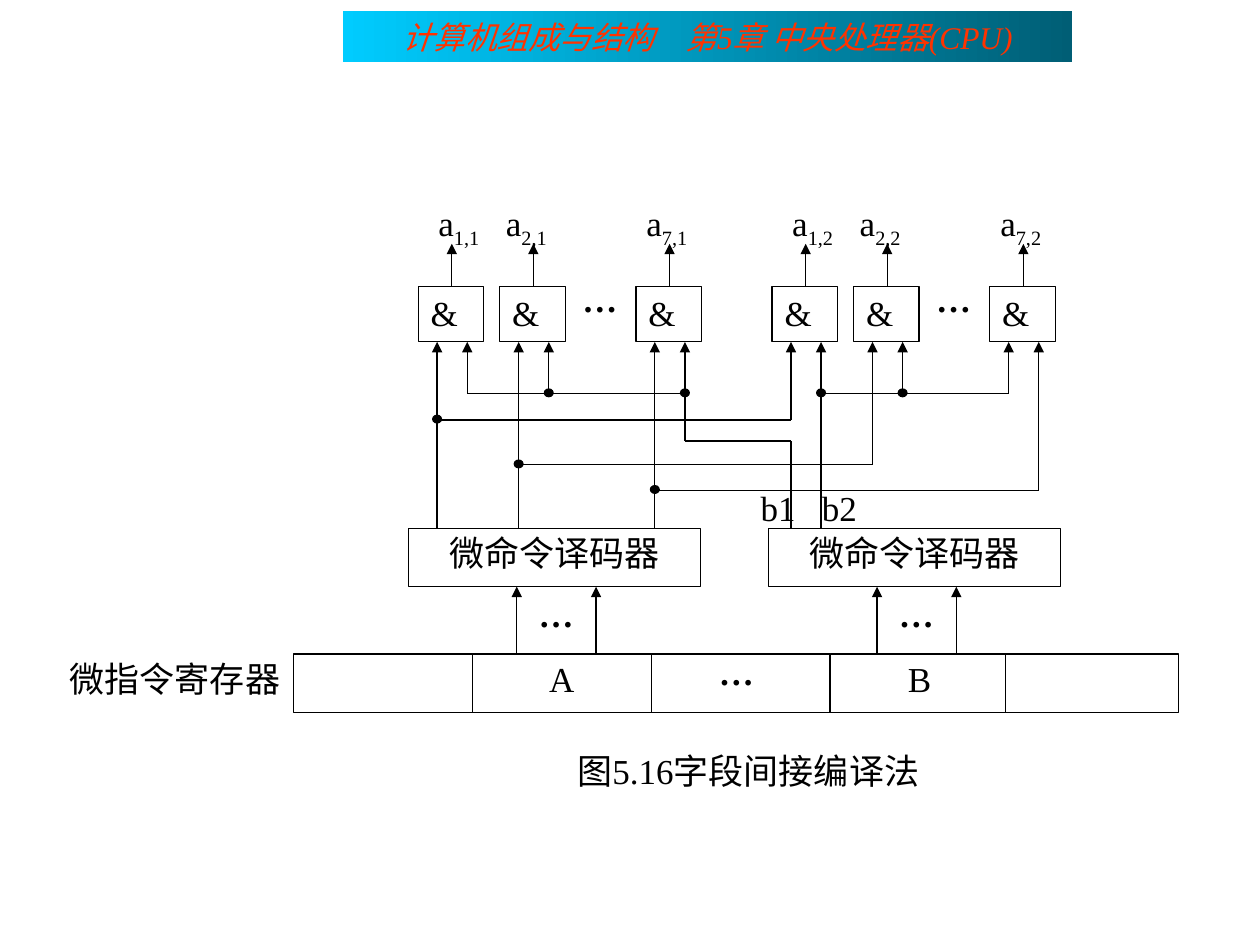
"""Build a slide showing indirect field encoding of microinstructions."""
from dataclasses import dataclass

import pptx
import pptx.dml.color
import pptx.enum.shapes
import pptx.enum.text
import pptx.oxml
import pptx.oxml.ns
import pptx.util

Pt = pptx.util.Pt
Color = pptx.dml.color.RGBColor.from_string
Align = pptx.enum.text.PP_ALIGN
Preset = pptx.enum.shapes.MSO_SHAPE


@dataclass(frozen=True)
class Theme:
    """Colours, font, type sizes and line width."""
    ink: str = "000000"
    paper: str = "FFFFFF"
    title: str = "FF3300"
    banner: tuple = ("005E75", "00CCFF")
    font: str = "Times New Roman"
    title_size: float = 18
    body_size: float = 20
    line: float = 0.75


THEME = Theme()
GATE_LEFTS = (0, 46.6, 124.4)
GATE_WIDTH = 37.4
GATE_INPUTS = (10.8, 28)


def style_run(run, size=THEME.body_size, color=THEME.ink, bold=False, italic=False):
    """Apply the theme font to a run."""
    run.font.name = THEME.font
    run.font.size = Pt(size)
    run.font.color.rgb = Color(color)
    run.font.bold = bold
    run.font.italic = italic


def set_text(shape, text, align=Align.CENTER, spacing=None, top=3.6, **style):
    """Write one styled paragraph into a shape."""
    frame = shape.text_frame
    frame.word_wrap = True
    frame.vertical_anchor = pptx.enum.text.MSO_ANCHOR.TOP
    frame.margin_left = frame.margin_right = Pt(7.2)
    frame.margin_top, frame.margin_bottom = Pt(top), Pt(3.6)
    frame.text = text
    paragraph = frame.paragraphs[0]
    paragraph.alignment = align
    paragraph.line_spacing = spacing
    style_run(paragraph.runs[0], **style)
    return paragraph


def add_label(slide, box, text, **style):
    """Add a text box and return its paragraph."""
    return set_text(slide.shapes.add_textbox(*map(Pt, box)), text, **style)


def add_dots(slide, left, top):
    """Add a bold ellipsis for omitted parts."""
    add_label(slide, (left, top, 51, 33), "…", bold=True)


def add_signal(slide, left, top, base, index):
    """Add a signal name with a subscript, centred on a point."""
    paragraph = add_label(slide, (left - 27, top, 54, 37), base)
    run = paragraph.add_run()
    run.text = index
    style_run(run)
    run.font._element.set("baseline", "-25000")


def add_block(slide, box, preset=Preset.RECTANGLE, fill=THEME.paper):
    """Add an outlined shape."""
    shape = slide.shapes.add_shape(preset, *map(Pt, box))
    shape.shadow.inherit = False
    shape.fill.solid()
    shape.fill.fore_color.rgb = Color(fill)
    shape.line.color.rgb = Color(THEME.ink)
    shape.line.width = Pt(THEME.line)
    return shape


def add_wire(slide, *points, arrow=False):
    """Join points by straight lines, with an optional arrowhead at the last."""
    for start, end in zip(points, points[1:]):
        wire = slide.shapes.add_connector(
            pptx.enum.shapes.MSO_CONNECTOR.STRAIGHT, *map(Pt, start + end))
        wire.line.color.rgb = Color(THEME.ink)
        wire.line.width = Pt(THEME.line)
        properties = wire._element.spPr
        properties.append(pptx.oxml.parse_xml(
            f'<a:effectLst {pptx.oxml.ns.nsdecls("a")}/>'))
        if arrow and end == points[-1]:
            wire.line._get_or_add_ln().append(pptx.oxml.parse_xml(
                f'<a:tailEnd {pptx.oxml.ns.nsdecls("a")} type="triangle"/>'))


def add_node(slide, x, y):
    """Mark a wire junction."""
    add_block(slide, (x - 2.5, y - 2.2, 5, 4.4), Preset.OVAL, THEME.ink)


def add_banner(slide, box):
    """Add the chapter banner."""
    banner = slide.shapes.add_shape(Preset.RECTANGLE, *map(Pt, box))
    banner.shadow.inherit = False
    banner.fill.gradient()
    banner.fill.gradient_angle = 180
    for stop, color in zip(banner.fill.gradient_stops, THEME.banner):
        stop.color.rgb = Color(color)
    banner.line.fill.background()
    set_text(banner, "计算机组成与结构　第5章 中央处理器(CPU)",
             size=THEME.title_size, color=THEME.title, italic=True)


def add_wiring(slide, first, second, top, bottom):
    """Wire both decoders to the two gate groups between two levels."""
    (a_first, b_first), (a_second, b_second) = [
        [[group + left + offset for left in GATE_LEFTS] for offset in GATE_INPUTS]
        for group in (first, second)]
    for x, target, level in zip(a_first, a_second, (240, 265.6, 280.2)):
        if target == a_second[-1]:
            target = b_second[-1]
        add_wire(slide, (x, bottom), (x, top), arrow=True)
        add_wire(slide, (x, level), (target, level), (target, top), arrow=True)
        add_node(slide, x, level - 0.5)
    bus, jog = 225, 252
    select = a_second[0]
    add_wire(slide, (select, bottom), (select, jog), (b_first[2], jog),
             (b_first[2], top), arrow=True)
    add_wire(slide, (b_first[2], bus), (b_first[0], bus), (b_first[0], top), arrow=True)
    add_wire(slide, (b_first[1], bus), (b_first[1], top), arrow=True)
    add_wire(slide, (b_second[0], bottom), (b_second[0], top), arrow=True)
    add_wire(slide, (b_second[0], bus), (a_second[2], bus), (a_second[2], top), arrow=True)
    add_wire(slide, (b_second[1], bus), (b_second[1], top), arrow=True)
    for x in (*b_first[1:], *b_second[:2]):
        add_node(slide, x, bus - 0.5)


def add_gates(slide, box, field):
    """Add one group of gates with their output signals."""
    left, top, height = box
    for offset, number, shift in zip(GATE_LEFTS, (1, 2, 7), (4.5, -3.5, -1)):
        x = left + offset
        center = x + GATE_WIDTH / 2
        gate = add_block(slide, (x, top, GATE_WIDTH, height))
        set_text(gate, "&", align=Align.LEFT, top=2.6)
        add_wire(slide, (center + 0.5, top), (center + 0.5, 139.3), arrow=True)
        add_signal(slide, center + shift, 111.6, "a", f"{number},{field}")
    add_dots(slide, left + 78.3, top - 8.4)


def add_decoder(slide, box, floor):
    """Add a decoder fed from the register below."""
    left, top, width, height = box
    set_text(add_block(slide, box), "微命令译码器", spacing=0.96)
    for offset in (62, 107.3):
        add_wire(slide, (left + offset, floor), (left + offset, top + height), arrow=True)
    add_dots(slide, left + 59, top + height - 0.5)


def add_register(slide, box):
    """Add the microinstruction register and its name."""
    left, top, width, height = box
    field = 102.2
    last = left + 406.8
    for index, text in enumerate(("", "A", "", "B")):
        cell = add_block(slide, (left + index * field, top, field, height))
        if text:
            set_text(cell, text, spacing=0.96)
    add_block(slide, (last, top, left + width - last, height))
    add_dots(slide, left + 2 * field + 23.1, top - 5.8)
    add_label(slide, (left - 137.6, top - 1.4, 139.7, 37.4), "微指令寄存器")


def main():
    """Build and save the slide."""
    presentation = pptx.Presentation()
    presentation.slide_width, presentation.slide_height = Pt(720), Pt(540)
    slide = presentation.slides.add_slide(presentation.slide_layouts[6])
    gate_top, gate_height = 163.7, 31.7
    decoder_top, register_top = 302, 373.7
    gate_groups = (239, 441.2)
    add_banner(slide, (195.8, 6.5, 416.9, 28.8))
    add_wiring(slide, *gate_groups, gate_top + gate_height, decoder_top)
    for field, left in enumerate(gate_groups, 1):
        add_gates(slide, (left, gate_top, gate_height), field)
    for left in (233.3, 439.2):
        add_decoder(slide, (left, decoder_top, 167, 33.3), register_top)
    for name, center in (("b1", 444.6), ("b2", 479.7)):
        add_label(slide, (center - 18, 274.3, 36, 37.4), name)
    add_register(slide, (167.8, register_top, 505.6, 33.3))
    add_label(slide, (249.8, 424.8, 355.7, 37.4), "图5.16字段间接编译法")
    presentation.save("out.pptx")


if __name__ == "__main__":
    main()
